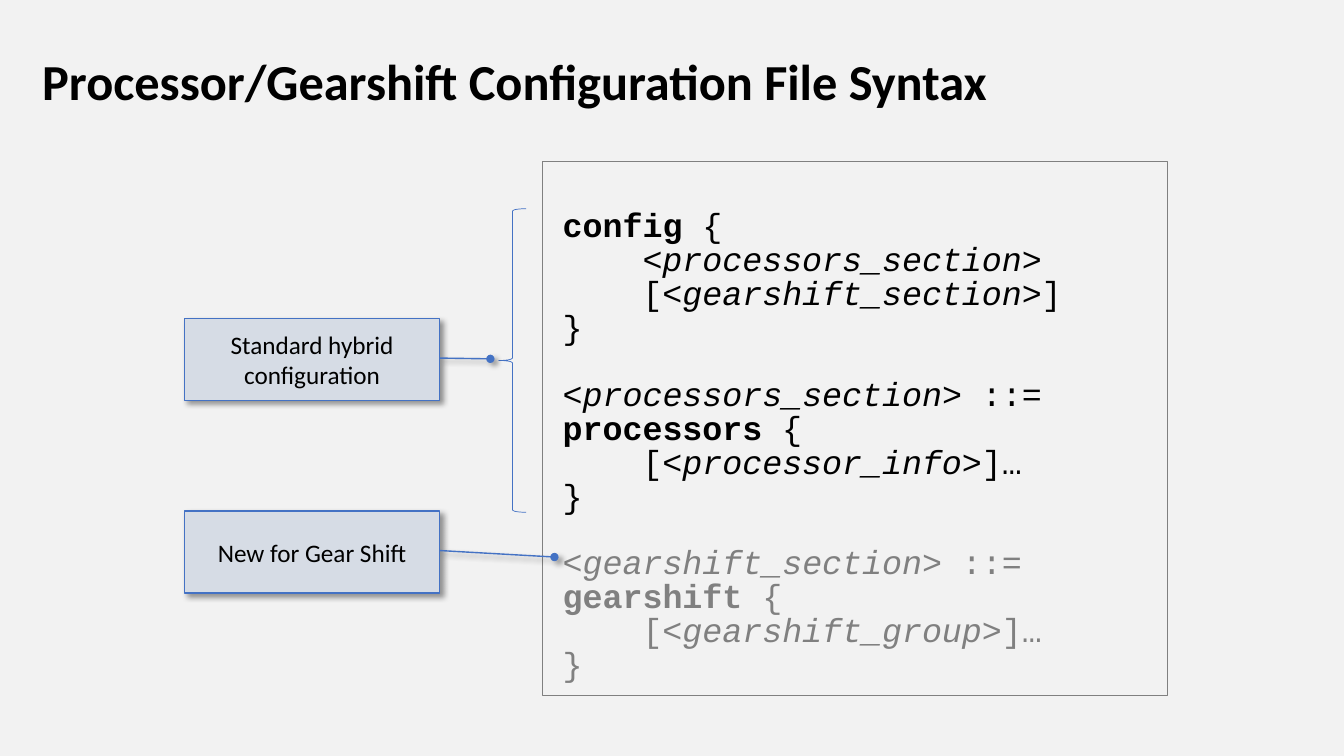
from lxml import etree
from pptx import Presentation
from pptx.dml.color import RGBColor
from pptx.enum.shapes import MSO_SHAPE
from pptx.enum.text import MSO_ANCHOR, MSO_AUTO_SIZE, PP_ALIGN
from pptx.oxml.ns import qn
from pptx.util import Cm, Pt

BRACE, CALLOUT = MSO_SHAPE.LEFT_BRACE, MSO_SHAPE.LINE_CALLOUT_1
TOP, MIDDLE = MSO_ANCHOR.TOP, MSO_ANCHOR.MIDDLE
LEFT, CENTER = PP_ALIGN.LEFT, PP_ALIGN.CENTER
NO_FIT = MSO_AUTO_SIZE.NONE

COLORS = {"paper": "F2F2F2", "text": "000000", "muted": "808080",
          "accent": "4472C4", "label": "D6DCE5", "shadow": "000000"}
HEADING_FONT, CODE_FONT = "Calibri", "Courier New"

# Style marks: b = bold keyword, i = italic symbol, empty = plain
GRAMMAR = [
    ("text", [
        [("config", "b"), (" {", "")],
        [("    ", ""), ("<processors_section>", "i")],
        [("    [", ""), ("<gearshift_section>", "i"), ("]", "")],
        [("}", "")],
    ]),
    ("text", [
        [("<processors_section>", "i"), (" ::=", "")],
        [("processors", "b"), (" {", "")],
        [("    [", ""), ("<processor_info>", "i"), ("]…", "")],
        [("}", "")],
    ]),
    ("muted", [
        [("<gearshift_section>", "i"), (" ::=", "")],
        [("gearshift", "b"), (" {", "")],
        [("    [", ""), ("<gearshift_group>", "i"), ("]…", "")],
        [("}", "")],
    ]),
]

# Label, top edge, and end of the leader line as shares of height and width
CALLOUTS = [("Standard hybrid configuration", 8.03, 0.492, 1.199),
            ("New for Gear Shift", 12.88, 0.562, 1.45)]


def rgb(name):
    return RGBColor.from_string(COLORS[name])


def place(shape, box):
    shape.left, shape.top, shape.width, shape.height = (Cm(v) for v in box)


def paint(shape, fill, line, width):
    if fill:
        shape.fill.solid()
        shape.fill.fore_color.rgb = rgb(fill)
    else:
        shape.fill.background()
    shape.line.color.rgb = rgb(line)
    shape.line.width = Pt(width)


def add_run(paragraph, text, font, size, color, style=""):
    run = paragraph.add_run()
    run.text = text
    run.font.name, run.font.size = font, Pt(size)
    run.font.color.rgb = rgb(color)
    run.font.bold, run.font.italic = style == "b", style == "i"


def add_soft_shadow(shape):
    effects = shape._element.spPr.find(qn("a:effectLst"))
    shadow = etree.SubElement(
        effects, qn("a:outerShdw"), blurRad=str(Pt(4)), dist=str(Pt(3)),
        dir="2700000", algn="tl", rotWithShape="0")
    color = etree.SubElement(shadow, qn("a:srgbClr"), val=COLORS["shadow"])
    etree.SubElement(color, qn("a:alpha"), val="40000")


def fill_title(title, box):
    place(title, box)
    frame = title.text_frame
    frame.auto_size, frame.vertical_anchor = NO_FIT, MIDDLE
    heading = frame.paragraphs[0]
    heading.alignment, heading.line_spacing = LEFT, 0.9
    add_run(heading, "Processor/Gearshift Configuration File Syntax",
            HEADING_FONT, 36, "text", "b")


def fill_grammar(panel, box):
    place(panel, box)
    paint(panel, "paper", "muted", 0.75)
    frame = panel.text_frame
    frame.word_wrap, frame.auto_size, frame.vertical_anchor = True, NO_FIT, TOP
    frame.margin_left, frame.margin_top = Cm(0.51), Cm(1.25)
    frame.margin_right, frame.margin_bottom = Cm(0.25), Cm(0.13)
    rule = frame.paragraphs[0]
    for section, (color, rules) in enumerate(GRAMMAR):
        for row, parts in enumerate(rules):
            if section or row:
                rule = frame.add_paragraph()
            properties = rule._p.get_or_add_pPr()
            properties.set("marL", "0")
            properties.set("indent", "0")
            etree.SubElement(properties, qn("a:buNone"))
            rule.alignment, rule.line_spacing = LEFT, 0.85
            rule.space_before = Pt(23 if section and row == 0 else 0)
            for text, style in parts:
                add_run(rule, text, CODE_FONT, 23.8, color, style)


def add_brace(slide, box):
    brace = slide.shapes.add_shape(BRACE, *(Cm(v) for v in box))
    brace.shadow.inherit = False
    paint(brace, None, "accent", 0.5)


def add_callout(slide, box, label, end_y, end_x):
    callout = slide.shapes.add_shape(CALLOUT, *(Cm(v) for v in box))
    for index, share in enumerate((0.483, 1.001, end_y, end_x)):
        callout.adjustments[index] = share
    paint(callout, "label", "accent", 1)
    etree.SubElement(callout.line._get_or_add_ln(), qn("a:tailEnd"), type="oval")
    callout.shadow.inherit = False
    add_soft_shadow(callout)
    frame = callout.text_frame
    frame.word_wrap, frame.vertical_anchor = True, MIDDLE
    frame.paragraphs[0].alignment = CENTER
    add_run(frame.paragraphs[0], label, HEADING_FONT, 18, "text")


def build_syntax_slide(deck):
    slide = deck.slides.add_slide(deck.slide_layouts[1])
    slide.background.fill.solid()
    slide.background.fill.fore_color.rgb = rgb("paper")
    fill_title(slide.shapes.title, (0.81, 1.09, 32.26, 2.06))
    fill_grammar(slide.placeholders[1], (13.67, 4.06, 15.75, 13.46))
    add_brace(slide, (12.57, 5.26, 0.69, 7.65))
    for label, top, end_y, end_x in CALLOUTS:
        add_callout(slide, (4.65, top, 6.43, 2.06), label, end_y, end_x)


def main():
    deck = Presentation()
    deck.slide_width, deck.slide_height = Cm(33.87), Cm(19.05)
    build_syntax_slide(deck)
    deck.save("out.pptx")


if __name__ == "__main__":
    main()
